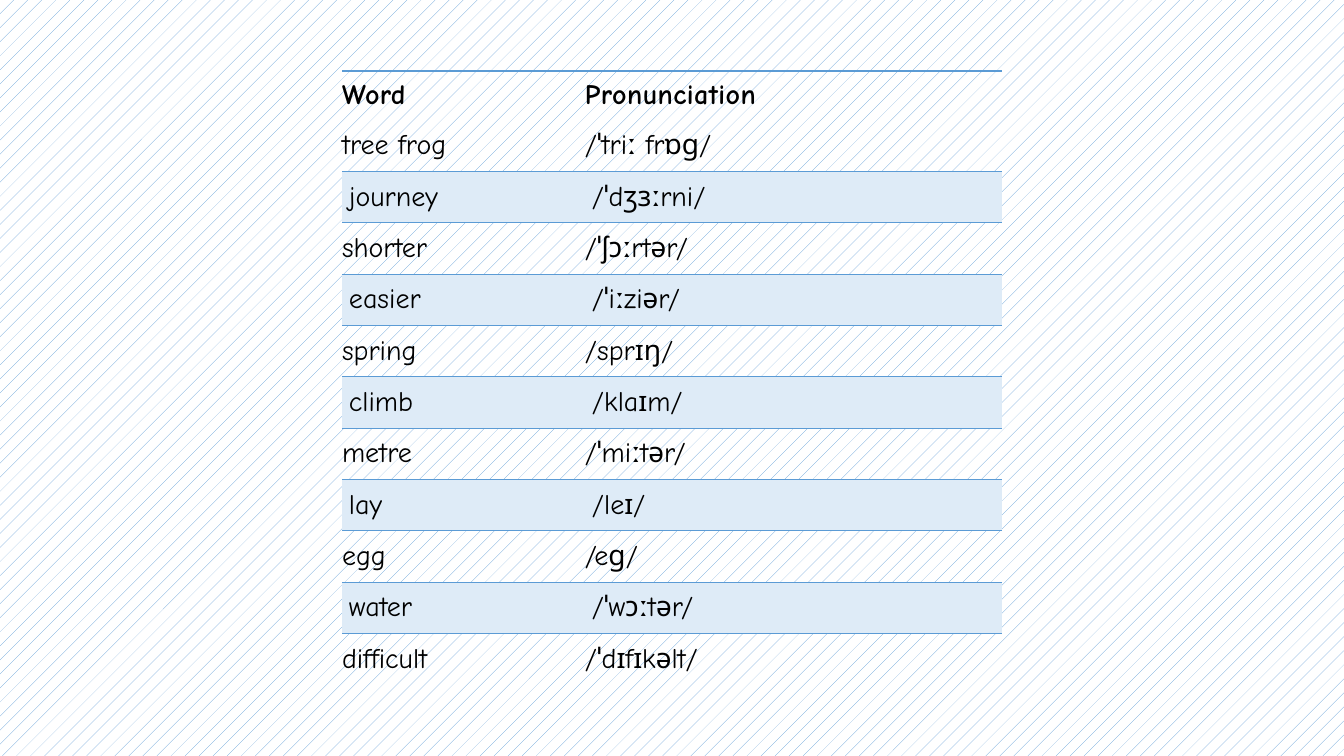
from dataclasses import dataclass

from lxml.etree import SubElement
from pptx import Presentation
from pptx.dml.color import RGBColor
from pptx.enum.dml import MSO_PATTERN
from pptx.enum.text import MSO_ANCHOR
from pptx.oxml.ns import qn
from pptx.util import Pt

PX = 914400 / 100.8
NO_STYLE = "{2D5ABB26-0587-4C30-8999-92F81FD0307C}"


@dataclass(frozen=True)
class Theme:
    font: str = "Comic Neue"
    size: int = 20
    text: str = "000000"
    accent: str = "5B9BD5"
    band: str = "DEEBF7"
    paper: str = "FFFFFF"
    top_rule: float = 1.5
    band_rule: float = 0.75


THEME = Theme()

HEADINGS = ("Word", "Pronunciation")
WORDS = [
    ("tree frog", "/ˈtriː frɒɡ/"),
    ("journey", "/ˈdʒɜːrni/"),
    ("shorter", "/ˈʃɔːrtər/"),
    ("easier", "/ˈiːziər/"),
    ("spring", "/sprɪŋ/"),
    ("climb", "/klaɪm/"),
    ("metre", "/ˈmiːtər/"),
    ("lay", "/leɪ/"),
    ("egg", "/eɡ/"),
    ("water", "/ˈwɔːtər/"),
    ("difficult", "/ˈdɪfɪkəlt/"),
]


def px(n):
    return round(n * PX)


def rgb(value):
    return RGBColor.from_string(value)


def set_format(target, values):
    for name, value in values.items():
        setattr(target, name, value)


def hatch_background(s):
    fill = s.background.fill
    fill.patterned()
    fill.pattern = MSO_PATTERN.PERCENT_5
    fill.fore_color.rgb = rgb(THEME.accent)
    fill.back_color.rgb = rgb(THEME.paper)


def rule_above(cell, width):
    tc_pr = cell._tc.get_or_add_tcPr()
    ln = SubElement(tc_pr, qn("a:lnT"), w=str(Pt(width)))
    SubElement(SubElement(ln, qn("a:solidFill")), qn("a:srgbClr"), val=THEME.accent)
    tc_pr.insert(0, ln)  # borders come before the fill


def fill_cell(cell, text, header, banded):
    left, right, edge = (0, 1, 3) if header else (7 if banded else 0, 9, 9)
    set_format(cell, {
        "margin_left": px(left), "margin_right": px(right),
        "margin_top": px(edge), "margin_bottom": px(edge),
        "vertical_anchor": MSO_ANCHOR.MIDDLE,
    })
    if banded:
        cell.fill.solid()
        cell.fill.fore_color.rgb = rgb(THEME.band)
    else:
        cell.fill.background()
    if header or banded:
        rule_above(cell, THEME.top_rule if header else THEME.band_rule)

    r = cell.text_frame.paragraphs[0].add_run()
    r.text = text
    set_format(r.font, {"name": THEME.font, "size": Pt(THEME.size), "bold": header})
    r.font.color.rgb = rgb(THEME.text)
    if header:
        r.font._element.set("spc", "30")


def word_table(s, x, y, w, h, word_w=243, header_h=49):
    rows = [HEADINGS, *WORDS]
    table = s.shapes.add_table(len(rows), 2, px(x), px(y), px(w), px(h)).table
    set_format(table, {"first_row": False, "horz_banding": False})
    table._tbl.tblPr.find(qn("a:tableStyleId")).text = NO_STYLE
    for col, width in zip(table.columns, (word_w, w - word_w)):
        col.width = px(width)

    row_h = (h - header_h) / len(WORDS)
    for i, texts in enumerate(rows):
        header = i == 0
        table.rows[i].height = px(header_h if header else row_h)
        for j, text in enumerate(texts):
            fill_cell(table.cell(i, j), text, header, not header and i % 2 == 0)


def main():
    prs = Presentation()
    set_format(prs, {"slide_width": px(1344), "slide_height": px(756)})
    s = prs.slides.add_slide(prs.slide_layouts[6])
    hatch_background(s)
    word_table(s, 342, 71, 660, 614)
    prs.save("out.pptx")


if __name__ == "__main__":
    main()
